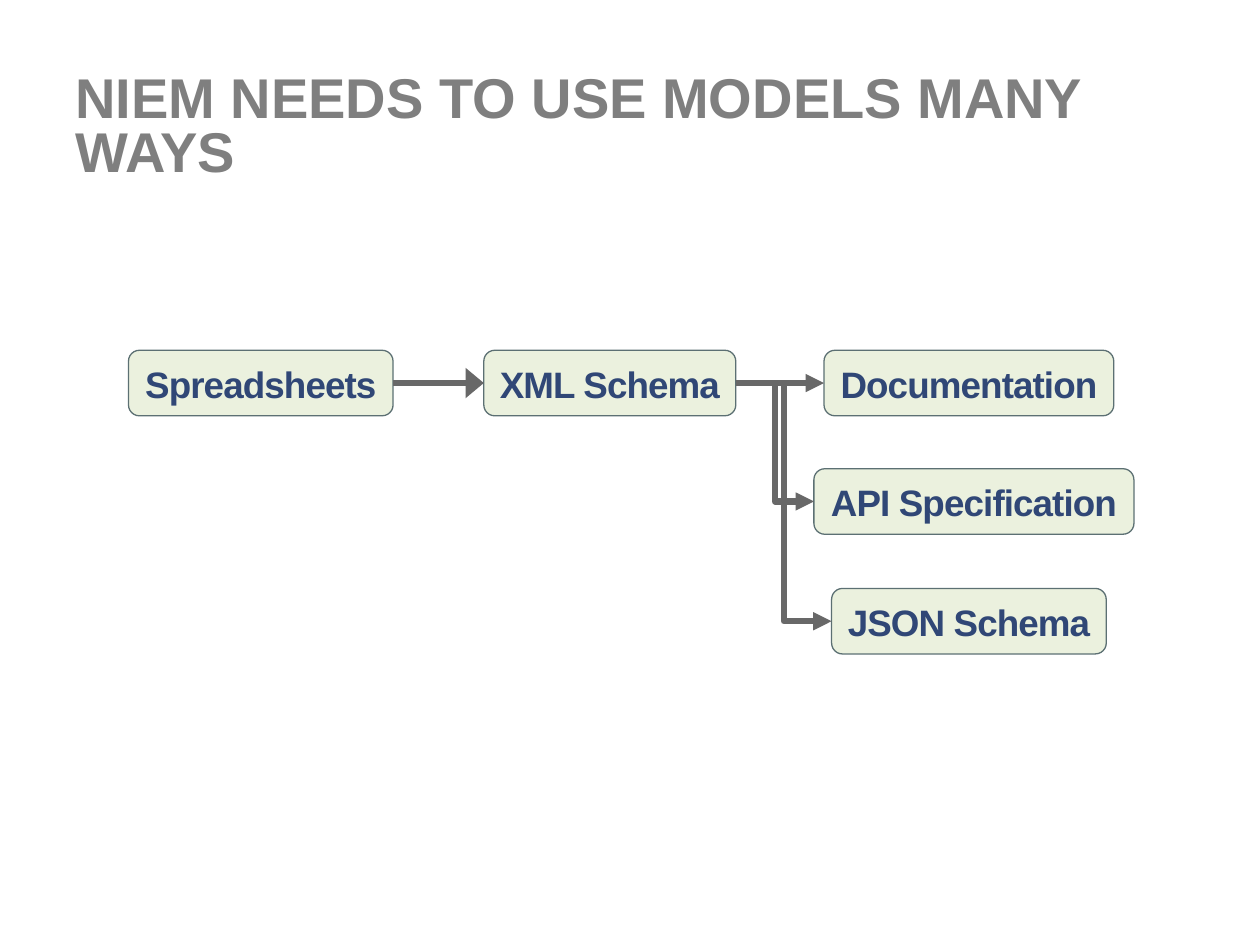
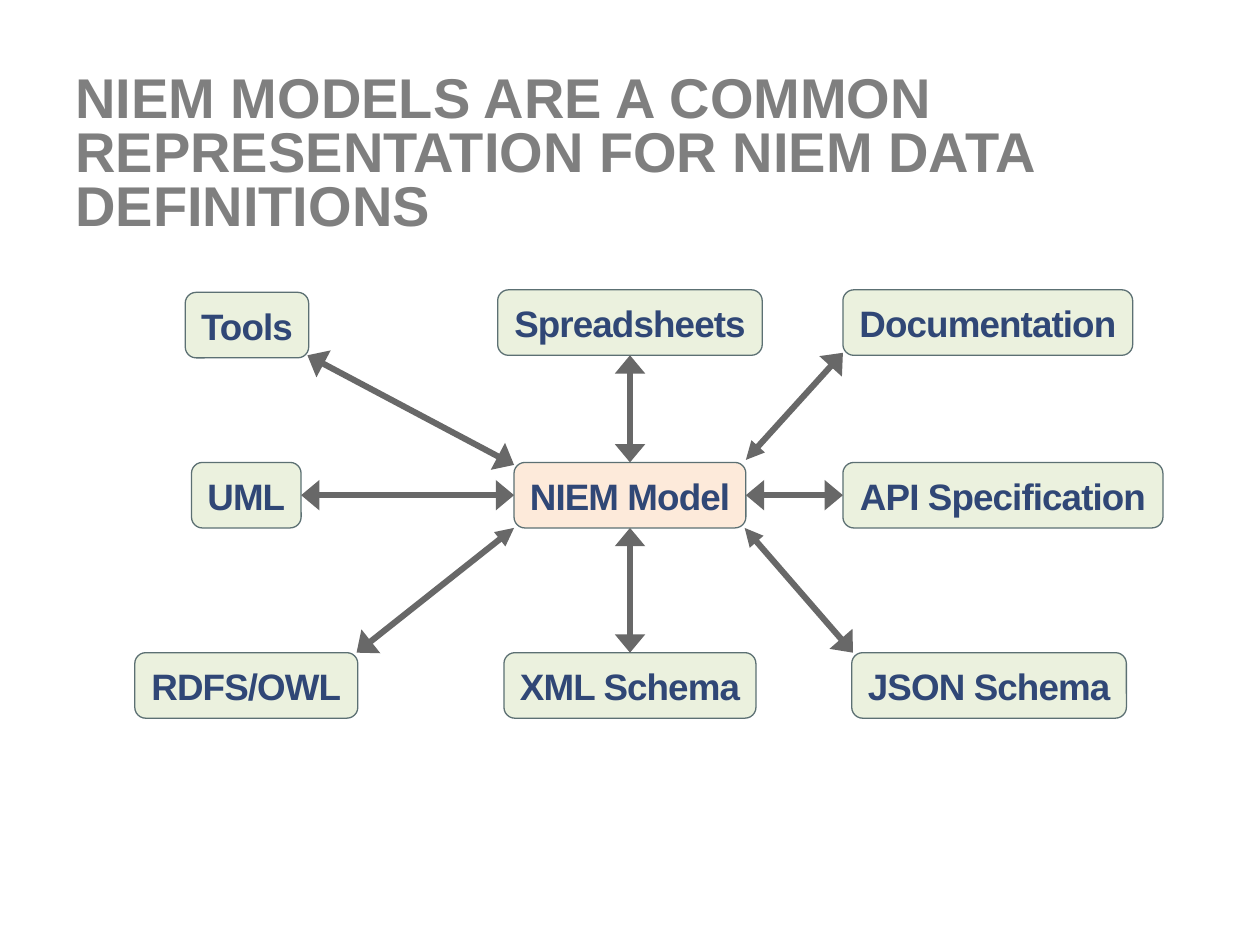
from dataclasses import dataclass

from lxml.etree import SubElement
from pptx import Presentation
from pptx.dml.color import RGBColor
from pptx.enum.shapes import MSO_CONNECTOR, MSO_SHAPE
from pptx.enum.text import MSO_ANCHOR, MSO_AUTO_SIZE, PP_ALIGN
from pptx.oxml.ns import qn
from pptx.util import Emu, Pt

# Shared look
EMU_PER_PX = 9144  # 100 px to the inch
FONT = "Arial"
TITLE_GRAY = RGBColor(0x7F, 0x7F, 0x7F)
LABEL_BLUE = RGBColor(0x30, 0x47, 0x76)
FORMAT_GREEN = RGBColor(0xEB, 0xF1, 0xDE)
MODEL_ORANGE = RGBColor(0xFD, 0xEA, 0xDA)
OUTLINE = RGBColor(0x5C, 0x70, 0x73)
ARROW_GRAY = RGBColor(0x68, 0x68, 0x68)
BOX_HEIGHT = 52
TOP, LEFT, BOTTOM, RIGHT = range(4)
WIDE, MEDIUM = "lg", "med"


@dataclass(frozen=True)
class Box:
    label: str
    left: int
    top: int
    width: int
    fill: RGBColor = FORMAT_GREEN


@dataclass(frozen=True)
class Joint:
    """The middle of one side of a labelled box."""
    label: str
    side: int


@dataclass(frozen=True)
class Point:
    x: int
    y: int


@dataclass(frozen=True)
class Arrow:
    start: Joint | Point
    end: Joint | Point
    head: str | None = None
    tail: str = WIDE
    bent: bool = False


@dataclass(frozen=True)
class Diagram:
    title: str
    boxes: list[Box]
    arrows: list[Arrow]


SCHEMA_EXIT = Joint("XML Schema", RIGHT)

DIAGRAMS = [
    Diagram(
        "NIEM NEEDS TO USE MODELS MANY WAYS",
        [
            Box("Spreadsheets", 102, 278, 210),
            Box("XML Schema", 384, 278, 200),
            Box("Documentation", 654, 278, 230),
            Box("API Specification", 646, 372, 254),
            Box("JSON Schema", 660, 467, 218),
        ],
        [
            Arrow(Joint("Spreadsheets", RIGHT), Joint("XML Schema", LEFT)),
            Arrow(SCHEMA_EXIT, Joint("Documentation", LEFT), tail=MEDIUM),
            Arrow(SCHEMA_EXIT, Joint("API Specification", LEFT), tail=MEDIUM, bent=True),
            Arrow(SCHEMA_EXIT, Joint("JSON Schema", LEFT), tail=MEDIUM, bent=True),
        ],
    ),
    Diagram(
        "NIEM MODELS ARE A COMMON REPRESENTATION FOR NIEM DATA DEFINITIONS",
        [
            Box("Tools", 147, 232, 98),
            Box("Spreadsheets", 395, 230, 210),
            Box("Documentation", 669, 230, 230),
            Box("UML", 152, 367, 87),
            Box("NIEM Model", 408, 367, 184, MODEL_ORANGE),
            Box("API Specification", 669, 367, 254),
            Box("RDFS/OWL", 107, 518, 177),
            Box("XML Schema", 400, 518, 200),
            Box("JSON Schema", 676, 518, 218),
        ],
        [
            # Straight up, down and across
            Arrow(Joint("Spreadsheets", BOTTOM), Joint("NIEM Model", TOP), WIDE),
            Arrow(Joint("NIEM Model", BOTTOM), Joint("XML Schema", TOP), WIDE),
            Arrow(Joint("UML", RIGHT), Joint("NIEM Model", LEFT), WIDE),
            Arrow(Joint("NIEM Model", RIGHT), Joint("API Specification", LEFT), WIDE),
            # Diagonals from corner to corner
            Arrow(Point(677, 518), Point(591, 419), WIDE, MEDIUM),
            Arrow(Point(669, 280), Point(592, 365), WIDE, MEDIUM),
            Arrow(Point(283, 518), Point(408, 419), WIDE, MEDIUM),
            Arrow(Point(244, 282), Point(408, 369), WIDE),
        ],
    ),
]


def px(length: int) -> Emu:
    return Emu(length * EMU_PER_PX)


def style_text(frame, size: int, color: RGBColor, line_spacing: float) -> None:
    para = frame.paragraphs[0]
    para.line_spacing = line_spacing
    font = para.runs[0].font
    font.name, font.size, font.bold = FONT, Pt(size), True
    font.color.rgb = color


def add_title(page, title: str) -> None:
    frame = page.shapes.add_textbox(px(50), px(55), px(900), px(89)).text_frame
    frame.word_wrap = True
    frame.text = title
    style_text(frame, 32, TITLE_GRAY, 0.8)


def add_box(page, box: Box):
    shape = page.shapes.add_shape(
        MSO_SHAPE.ROUNDED_RECTANGLE,
        px(box.left), px(box.top), px(box.width), px(BOX_HEIGHT),
    )
    shape.shadow.inherit = False
    shape.fill.solid()
    shape.fill.fore_color.rgb = box.fill
    shape.line.color.rgb = OUTLINE
    shape.line.width = Pt(0.75)

    frame = shape.text_frame
    frame.text = box.label
    frame.word_wrap = False
    frame.auto_size = MSO_AUTO_SIZE.SHAPE_TO_FIT_TEXT
    frame.vertical_anchor = MSO_ANCHOR.MIDDLE
    frame.margin_left = frame.margin_top = frame.margin_right = px(10)
    frame.margin_bottom = px(5)
    style_text(frame, 21, LABEL_BLUE, 0.9)
    para = frame.paragraphs[0]
    para.alignment = PP_ALIGN.CENTER
    para.runs[0].font._element.set("spc", "-50")
    return shape


def add_arrow(page, arrow: Arrow, shapes: dict) -> None:
    kind = MSO_CONNECTOR.ELBOW if arrow.bent else MSO_CONNECTOR.STRAIGHT
    connector = page.shapes.add_connector(kind, 0, 0, 0, 0)
    if isinstance(arrow.start, Joint):
        connector.begin_connect(shapes[arrow.start.label], arrow.start.side)
    else:
        connector.begin_x, connector.begin_y = px(arrow.start.x), px(arrow.start.y)
    if isinstance(arrow.end, Joint):
        connector.end_connect(shapes[arrow.end.label], arrow.end.side)
    else:
        connector.end_x, connector.end_y = px(arrow.end.x), px(arrow.end.y)

    connector.line.color.rgb = ARROW_GRAY
    connector.line.width = Pt(3.5)
    line = connector.line._get_or_add_ln()
    for tag, width in (("a:headEnd", arrow.head), ("a:tailEnd", arrow.tail)):
        if width:
            SubElement(line, qn(tag), type="triangle", w=width, len="med")
    SubElement(connector._element.spPr, qn("a:effectLst"))


def main() -> None:
    deck = Presentation()
    deck.slide_width, deck.slide_height = px(1000), px(750)
    for diagram in DIAGRAMS:
        page = deck.slides.add_slide(deck.slide_layouts[6])
        add_title(page, diagram.title)
        shapes = {box.label: add_box(page, box) for box in diagram.boxes}
        for arrow in diagram.arrows:
            add_arrow(page, arrow, shapes)
    deck.save("out.pptx")


if __name__ == "__main__":
    main()
